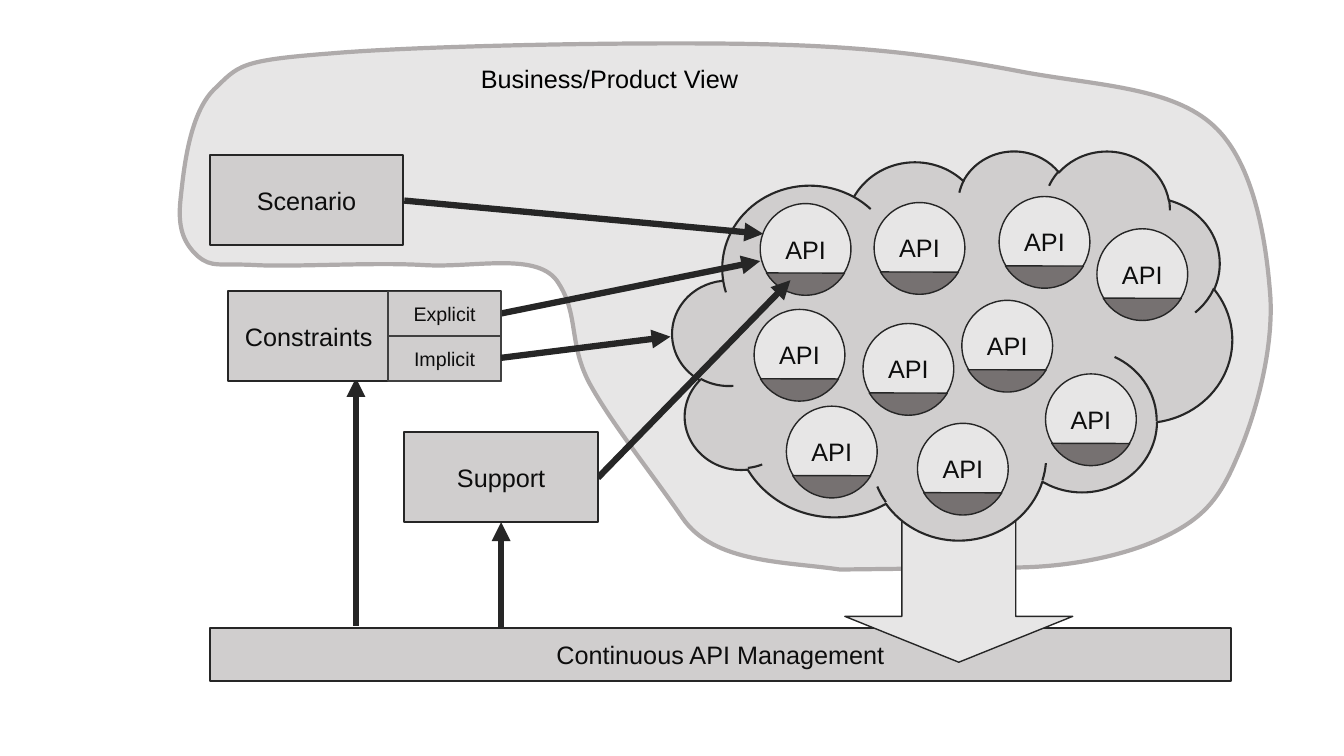
from pptx import Presentation
from pptx.dml.color import RGBColor
from pptx.enum.shapes import MSO_CONNECTOR as Connector, MSO_SHAPE as Shape
from pptx.enum.text import MSO_ANCHOR as Anchor, MSO_AUTO_SIZE as AutoSize, PP_ALIGN as Align
from pptx.oxml.ns import qn
from pptx.util import Inches, Pt
from lxml.etree import SubElement

THEME = {
    "font": "Arial", "label": 18, "small": 14,
    "ink": "0D0D0D", "title": "000000", "edge": "262626", "divider": "404040",
    "pale": "E7E6E6", "box": "D0CECE", "dark": "767171", "view_edge": "AFABAB",
}

TITLE = ("Business/Product View", (4.67, 0.58, 2.78, 0.4))
MANAGEMENT = ("Continuous API Management", (2.08, 6.23, 10.13, 0.53))
DOWN_ARROW = (8.38, 5.13, 2.26, 1.44)
CLOUD = (6.67, 1.49, 5.55, 3.86)
SCENARIO = ("Scenario", (2.08, 1.54, 1.92, 0.89))
SUPPORT = ("Support", (4.01, 4.29, 1.92, 0.89))
CONSTRAINTS = ("Constraints", (2.26, 2.89, 2.71, 0.89))
CONSTRAINT_KINDS = ["Explicit", "Implicit"]
KIND_WIDTH = 1.12

API_SIZE = 0.9
API_CORNERS = [
    (7.48, 3.07), (8.56, 3.21), (8.67, 2.01), (9.54, 2.98), (10.88, 2.27),
    (7.8, 4.03), (9.1, 4.2), (10.37, 3.71), (9.91, 1.95), (7.54, 2.02),
]
ARROWS = [
    ((4.01, 1.99), (7.57, 2.32)),
    ((4.97, 3.11), (7.54, 2.59)),
    ((5.93, 4.74), (7.84, 2.78)),
    ((4.97, 6.24), (4.97, 5.18)),
    ((3.53, 6.21), (3.53, 3.75)),
]
IMPLICIT_ARROW = ((4.97, 3.55), (6.65, 3.34))

# A curve holds two control points and an end point; a straight side only its end.
VIEW_START = (2.12, 0.89)
VIEW_SEGMENTS = [
    ((2.37, 0.65), (2.36, 0.6), (3.28, 0.53)),
    ((4.2, 0.45), (6.48, 0.41), (7.63, 0.44)),
    ((8.78, 0.47), (9.44, 0.58), (10.18, 0.72)),
    ((10.91, 0.85), (11.63, 0.87), (12.04, 1.25)),
    ((12.44, 1.62), (12.56, 2.39), (12.6, 2.95)),
    ((12.63, 3.5), (12.44, 4.16), (12.26, 4.56)),
    ((12.09, 4.96), (11.92, 5.15), (11.54, 5.33)),
    ((11.17, 5.51), (10.6, 5.63), (10.04, 5.63)),
    ((8.33, 5.65),),
    ((7.79, 5.57), (7.08, 5.59), (6.77, 5.14)),
    ((6.46, 4.69), (6.05, 4.18), (5.84, 3.79)),
    ((5.64, 3.4), (5.74, 3.12), (5.54, 2.81)),
    ((5.35, 2.49), (4.71, 2.66), (4.21, 2.63)),
    ((3.71, 2.6), (2.92, 2.65), (2.54, 2.63)),
    ((2.17, 2.61), (2.1, 2.66), (1.96, 2.54)),
    ((1.82, 2.41), (1.76, 2.26), (1.79, 1.98)),
    ((1.82, 1.71), (1.87, 1.14), (2.12, 0.89)),
]


def color(name):
    return RGBColor.from_string(THEME[name])


def inches(values):
    return [Inches(value) for value in values]


def paint(shape, fill, edge="edge", width=1.5):
    shape.shadow.inherit = False
    if fill:
        shape.fill.solid()
        shape.fill.fore_color.rgb = color(fill)
    else:
        shape.fill.background()
    shape.line.color.rgb = color(edge)
    shape.line.width = Pt(width)


def write(shape, text, size="label", ink="ink", align=Align.CENTER, **frame_format):
    frame = shape.text_frame
    frame_values = {"word_wrap": True, "vertical_anchor": Anchor.MIDDLE, **frame_format}
    for name, value in frame_values.items():
        setattr(frame, name, value)
    paragraph = frame.paragraphs[0]
    paragraph.text = text
    paragraph.alignment = align
    for name, value in {"name": THEME["font"], "size": Pt(THEME[size])}.items():
        setattr(paragraph.font, name, value)
    paragraph.font.color.rgb = color(ink)


def add_part(shapes, kind, place, fill, edge="edge", width=1.5, adjustments=()):
    shape = shapes.add_shape(kind, *inches(place))
    paint(shape, fill, edge, width)
    for index, value in enumerate(adjustments):
        shape.adjustments[index] = value
    return shape


def add_view(shapes):
    """Outline the segment ends, then bend the sides that have control points."""
    builder = shapes.build_freeform(*inches(VIEW_START))
    builder.add_line_segments([inches(segment[-1]) for segment in VIEW_SEGMENTS], close=True)
    view = builder.convert_to_shape()
    paint(view, "pale", "view_edge", 3)
    sides = list(view._element.spPr.iter(qn("a:lnTo")))
    for side, segment in zip(sides, VIEW_SEGMENTS):
        if len(segment) == 1:
            continue
        outline = side.getparent()
        curve = SubElement(outline, qn("a:cubicBezTo"))
        for x, y in segment:
            SubElement(curve, qn("a:pt"), x=str(Inches(x) - view.left),
                       y=str(Inches(y) - view.top))
        outline.replace(side, curve)


def add_api(shapes, left, top):
    group = shapes.add_group_shape().shapes
    circle = add_part(group, Shape.OVAL, (left, top, API_SIZE, API_SIZE), "pale", width=1)
    write(circle, "API", margin_left=0, margin_right=0)
    add_part(group, Shape.CHORD, (left, top + 0.01, API_SIZE, API_SIZE), "dark",
             width=1, adjustments=(18.47, 89.72))


def add_arrow(shapes, start, end):
    arrow = shapes.add_connector(Connector.STRAIGHT, *inches(start + end))
    arrow.line.color.rgb = color("edge")
    arrow.line.width = Pt(4.5)
    SubElement(arrow.line._get_or_add_ln(), qn("a:tailEnd"), type="triangle")
    SubElement(arrow._element.spPr, qn("a:effectLst"))


def add_box(shapes, text, place):
    write(add_part(shapes, Shape.RECTANGLE, place, "box"), text)


def add_title(shapes):
    text, place = TITLE
    write(shapes.add_textbox(*inches(place)), text, ink="title", align=Align.LEFT,
          word_wrap=False, vertical_anchor=Anchor.TOP, auto_size=AutoSize.SHAPE_TO_FIT_TEXT)


def add_constraints(shapes):
    text, place = CONSTRAINTS
    left, top, width, height = place
    write(add_part(shapes, Shape.RECTANGLE, place, "box"), text,
          align=Align.LEFT, margin_left=Inches(0.17))
    row_height = height / len(CONSTRAINT_KINDS)
    for row, kind in enumerate(CONSTRAINT_KINDS):
        cell = (left + width - KIND_WIDTH, top + row * row_height, KIND_WIDTH, row_height)
        write(add_part(shapes, Shape.RECTANGLE, cell, None, "divider", 1), kind, "small")


def main():
    presentation = Presentation()
    presentation.slide_width, presentation.slide_height = inches((13.33, 7.5))
    shapes = presentation.slides.add_slide(presentation.slide_layouts[6]).shapes

    add_view(shapes)
    add_box(shapes, *MANAGEMENT)
    add_part(shapes, Shape.DOWN_ARROW, DOWN_ARROW, "pale", width=1, adjustments=(0.5, 0.316))
    add_part(shapes, Shape.CLOUD, CLOUD, "box")
    for corner in API_CORNERS:
        add_api(shapes, *corner)
    add_box(shapes, *SCENARIO)
    for arrow in ARROWS:
        add_arrow(shapes, *arrow)
    add_title(shapes)
    add_box(shapes, *SUPPORT)
    add_constraints(shapes)
    add_arrow(shapes, *IMPLICIT_ARROW)
    presentation.save("out.pptx")


if __name__ == "__main__":
    main()
